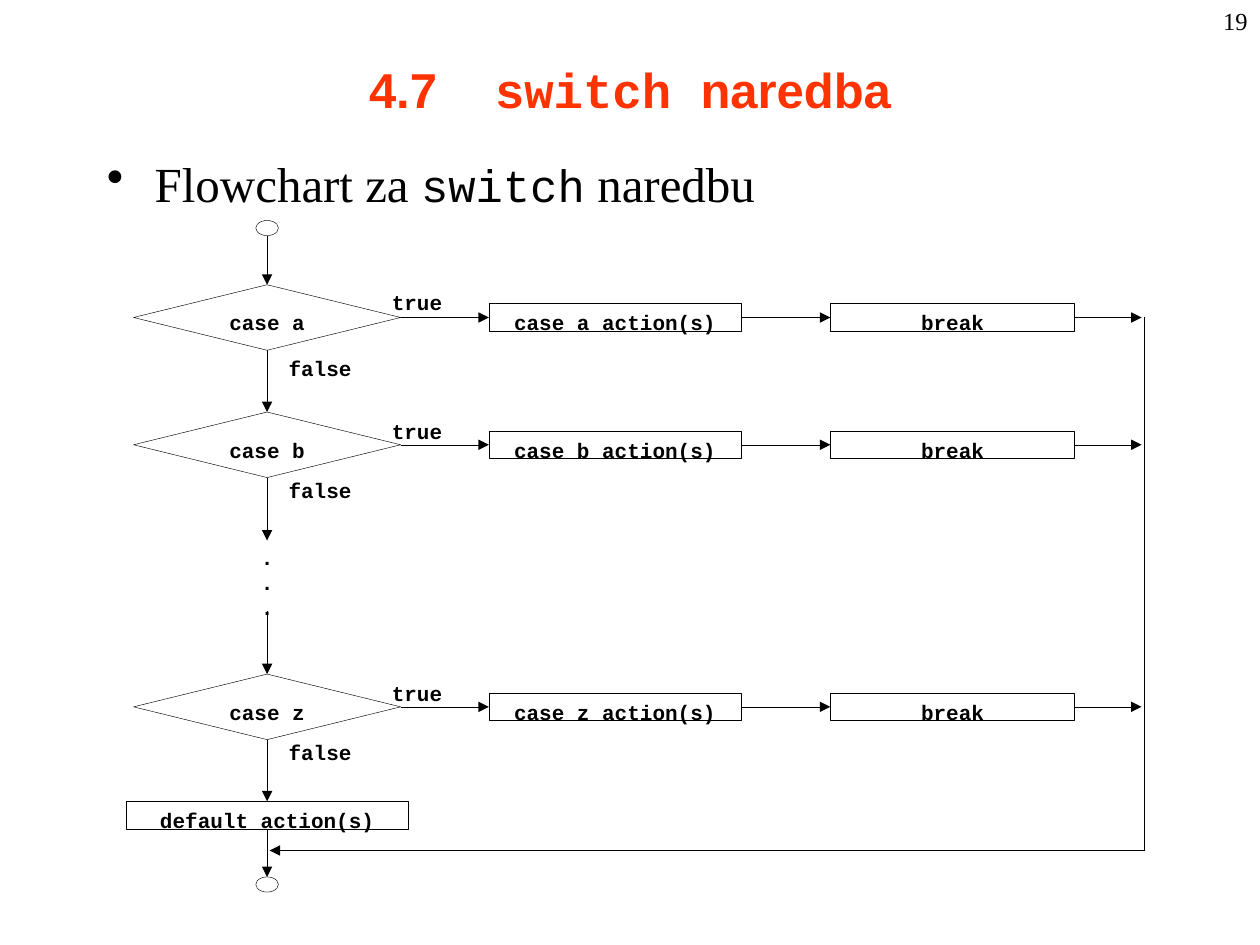
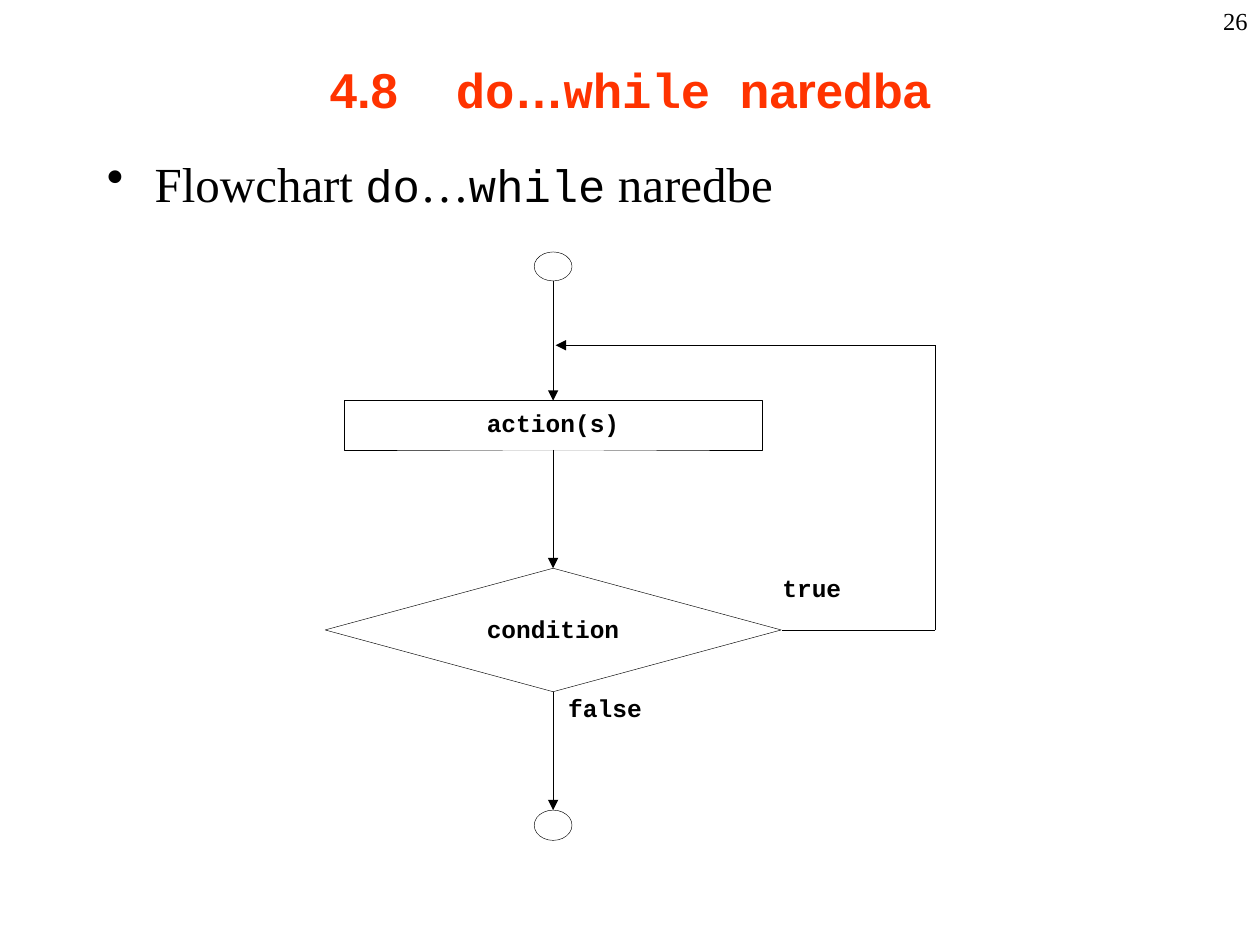
from dataclasses import dataclass

from lxml.etree import SubElement
from pptx import Presentation
from pptx.dml.color import RGBColor
from pptx.enum.shapes import MSO_CONNECTOR, MSO_SHAPE
from pptx.enum.text import MSO_ANCHOR, PP_ALIGN
from pptx.oxml.ns import qn
from pptx.util import Pt

PX = 9144  # 100 px to the inch
INCH = 100
COLORS = {"title": "FF3300", "ink": "000000", "paper": "FFFFFF"}
SANS, SERIF, MONO = "Arial", "Times New Roman", "Courier New"
TOP, LEFT, BOTTOM, RIGHT = range(4)
LINE_WIDTH = Pt(0.25)
FRAME = {"word_wrap": True, "vertical_anchor": MSO_ANCHOR.TOP}
TITLE_FONT = {"size": Pt(28), "bold": True}
PAGE_FONT = {"size": Pt(14), "name": SERIF}
BODY_FONTS = {
    SERIF: {"size": Pt(28), "name": SERIF},
    MONO: {"size": Pt(26), "name": MONO},
}


@dataclass(frozen=True)
class Box:
    left: int
    top: int
    width: int
    height: int

    def emu(self) -> list[int]:
        return [n * PX for n in (self.left, self.top, self.width, self.height)]


@dataclass(frozen=True)
class Piece:
    text: str
    font: str


@dataclass(frozen=True)
class Heading:
    page: str
    title: list[Piece]
    bullet: list[Piece]


@dataclass(frozen=True)
class Case:
    letter: str
    top: int
    true_top: int
    false_top: int


SWITCH = Heading(
    "19",
    [Piece("4.7\t", SANS), Piece("switch ", MONO), Piece("naredba", SANS)],
    [Piece("Flowchart za ", SERIF), Piece("switch", MONO), Piece(" naredbu", SERIF)],
)
DO_WHILE = Heading(
    "26",
    [Piece("4.8\t", SANS), Piece("do", MONO), Piece("…", SANS),
     Piece("while ", MONO), Piece("naredba", SANS)],
    [Piece("Flowchart ", SERIF), Piece("do", MONO), Piece("…", SERIF),
     Piece("while", MONO), Piece(" naredbe", SERIF)],
)
CASES = [Case("a", 226, 230, 282), Case("b", 327, 332, 379), Case("z", 535, 540, 587)]


def rgb(color: str) -> RGBColor:
    return RGBColor.from_string(COLORS[color])


def apply(target, values: dict) -> None:
    for name, value in values.items():
        setattr(target, name, value)


def set_insets(frame, across: int, top: int, bottom: int) -> None:
    apply(frame, {"margin_left": across * PX, "margin_right": across * PX,
                  "margin_top": top * PX, "margin_bottom": bottom * PX})


def add_run(paragraph, text: str, font: dict, color: str = "ink") -> None:
    run = paragraph.add_run()
    run.text = text
    apply(run.font, font)
    run.font.color.rgb = rgb(color)


def add_tabs(paragraph, first: int) -> None:
    """Put eight left tab stops one inch apart, starting at the given inch."""
    stops = SubElement(paragraph._p.get_or_add_pPr(), qn("a:tabLst"))
    for inch in range(first, first + 8):
        SubElement(stops, qn("a:tab"), pos=str(inch * INCH * PX), algn="l")


def add_bullet(paragraph) -> None:
    properties = paragraph._p.get_or_add_pPr()
    for name, value in {"marL": 38, "indent": -38}.items():
        properties.set(name, str(value * PX))
    color = SubElement(properties, qn("a:buClr"))
    SubElement(color, qn("a:srgbClr"), val=COLORS["ink"])
    SubElement(properties, qn("a:buChar"), char="•")


def add_text_frame(slide, box: Box, across: int = 10, down: int = 5):
    frame = slide.shapes.add_textbox(*box.emu()).text_frame
    apply(frame, FRAME)
    set_insets(frame, across, down, down)
    return frame


def add_heading(slide, heading: Heading) -> None:
    title = add_text_frame(slide, Box(75, 8, 850, 125))
    title.vertical_anchor = MSO_ANCHOR.MIDDLE
    headline = title.paragraphs[0]
    headline.alignment = PP_ALIGN.CENTER
    add_tabs(headline, 0)
    for piece in heading.title:
        add_run(headline, piece.text, TITLE_FONT | {"name": piece.font}, "title")

    point = add_text_frame(slide, Box(75, 117, 850, 592)).paragraphs[0]
    add_bullet(point)
    add_tabs(point, 1)
    for piece in heading.bullet:
        add_run(point, piece.text, BODY_FONTS[piece.font])

    page = add_text_frame(slide, Box(792, 0, 208, 50)).paragraphs[0]
    page.alignment = PP_ALIGN.RIGHT
    add_run(page, heading.page, PAGE_FONT)


@dataclass(frozen=True)
class Flowchart:
    slide: object
    text_size: int

    def add_code(self, paragraph, text: str, alignment: PP_ALIGN) -> None:
        paragraph.alignment = alignment
        add_run(paragraph, text, {"size": Pt(self.text_size), "name": MONO, "bold": True})

    def node(self, kind: MSO_SHAPE, box: Box, text: str = "", text_drop: int = 0):
        """Draw a flowchart symbol whose text starts text_drop below its text area's top."""
        symbol = self.slide.shapes.add_shape(kind, *box.emu())
        symbol.shadow.inherit = False
        symbol.fill.solid()
        symbol.fill.fore_color.rgb = rgb("paper")
        symbol.line.color.rgb = rgb("ink")
        symbol.line.width = LINE_WIDTH
        if text:
            apply(symbol.text_frame, FRAME)
            set_insets(symbol.text_frame, 0, text_drop, 0)
            self.add_code(symbol.text_frame.paragraphs[0], text, PP_ALIGN.CENTER)
        return symbol

    def label(self, text: str, box: Box) -> None:
        frame = add_text_frame(self.slide, box, 0, 0)
        self.add_code(frame.paragraphs[0], text, PP_ALIGN.LEFT)

    def line(self, start: tuple[int, int], end: tuple[int, int], arrow: bool = True,
             source=None, target=None) -> None:
        """Draw a line; source and target are (node, side) pairs to join."""
        link = self.slide.shapes.add_connector(
            MSO_CONNECTOR.STRAIGHT, *(n * PX for n in (*start, *end)))
        link.line.color.rgb = rgb("ink")
        link.line.width = LINE_WIDTH
        properties = link._element.spPr
        if arrow:
            SubElement(properties.get_or_add_ln(), qn("a:tailEnd"), type="triangle")
        SubElement(properties, qn("a:effectLst"))
        if source:
            link.begin_connect(*source)
        if target:
            link.end_connect(*target)


def draw_switch(slide) -> None:
    add_heading(slide, SWITCH)
    chart = Flowchart(slide, 12)
    axis, exit_x, merge_y = 212, 908, 675
    rhombus_height, step_height = 52, 22

    chart.node(MSO_SHAPE.OVAL, Box(203, 175, 18, 12))
    end = chart.node(MSO_SHAPE.OVAL, Box(203, 696, 18, 12))
    default = chart.node(MSO_SHAPE.RECTANGLE, Box(100, 636, 224, step_height),
                         "default action(s)", 5)
    conditions = []
    for case in CASES:
        middle = case.top + rhombus_height // 2
        step_top = middle - step_height // 2
        condition = chart.node(MSO_SHAPE.DIAMOND, Box(106, case.top, 212, rhombus_height),
                               f"case {case.letter}", 7)
        action = chart.node(MSO_SHAPE.RECTANGLE, Box(388, step_top, 200, step_height),
                            f"case {case.letter} action(s)", 5)
        leave = chart.node(MSO_SHAPE.RECTANGLE, Box(659, step_top, 194, step_height),
                           "break", 5)
        chart.line((318, middle), (388, middle),
                   source=(condition, RIGHT), target=(action, LEFT))
        chart.line((588, middle), (659, middle),
                   source=(action, RIGHT), target=(leave, LEFT))
        chart.line((853, middle), (exit_x - 2, middle), source=(leave, RIGHT))
        chart.label("true", Box(311, case.true_top, 63, 25))
        chart.label("false", Box(229, case.false_top, 76, 25))
        conditions.append(condition)

    first, second, last = conditions
    first_top, second_top, last_top = (case.top for case in CASES)
    second_bottom = second_top + rhombus_height
    chart.line((axis, 187), (axis, first_top), target=(first, TOP))
    chart.line((axis, first_top + rhombus_height), (axis, second_top),
               source=(first, BOTTOM), target=(second, TOP))
    chart.line((axis, second_bottom), (axis, second_bottom + 50), source=(second, BOTTOM))
    chart.line((axis, last_top - 50), (axis, last_top), target=(last, TOP))
    chart.line((axis, last_top + rhombus_height), (axis, 636),
               source=(last, BOTTOM), target=(default, TOP))
    chart.line((axis, 658), (axis, 696), source=(default, BOTTOM), target=(end, TOP))
    chart.line((exit_x, first_top + rhombus_height // 2), (exit_x, merge_y), arrow=False)
    chart.line((exit_x, merge_y), (axis + 2, merge_y))

    more_cases = add_text_frame(slide, Box(203, 432, 18, 61), 0, 0)
    chart.add_code(more_cases.paragraphs[0], ".", PP_ALIGN.CENTER)
    for _ in range(2):
        chart.add_code(more_cases.add_paragraph(), ".", PP_ALIGN.CENTER)


def draw_do_while(slide) -> None:
    add_heading(slide, DO_WHILE)
    chart = Flowchart(slide, 14)
    axis, loop_x, loop_y, condition_y = 439, 742, 274, 500

    chart.node(MSO_SHAPE.OVAL, Box(424, 200, 30, 23))
    action = chart.node(MSO_SHAPE.RECTANGLE, Box(273, 318, 332, 39), "action(s)", 6)
    condition = chart.node(MSO_SHAPE.DIAMOND, Box(258, 451, 362, 98), "condition", 12)
    end = chart.node(MSO_SHAPE.OVAL, Box(424, 643, 30, 24))

    chart.line((axis, 223), (axis, 318), target=(action, TOP))
    chart.line((axis, 357), (axis, 451), source=(action, BOTTOM), target=(condition, TOP))
    chart.line((axis, 549), (axis, 643), source=(condition, BOTTOM), target=(end, TOP))
    chart.line((621, condition_y), (loop_x, condition_y), arrow=False)
    chart.line((loop_x, condition_y), (loop_x, loop_y), arrow=False)
    chart.line((loop_x, loop_y), (axis + 2, loop_y))
    chart.label("true", Box(621, 455, 106, 47))
    chart.label("false", Box(451, 550, 130, 47))


def main() -> None:
    deck = Presentation()
    apply(deck, {"slide_width": 10 * INCH * PX, "slide_height": 750 * PX})
    blank = deck.slide_layouts[6]
    for draw in (draw_switch, draw_do_while):
        draw(deck.slides.add_slide(blank))
    deck.save("out.pptx")


if __name__ == "__main__":
    main()
